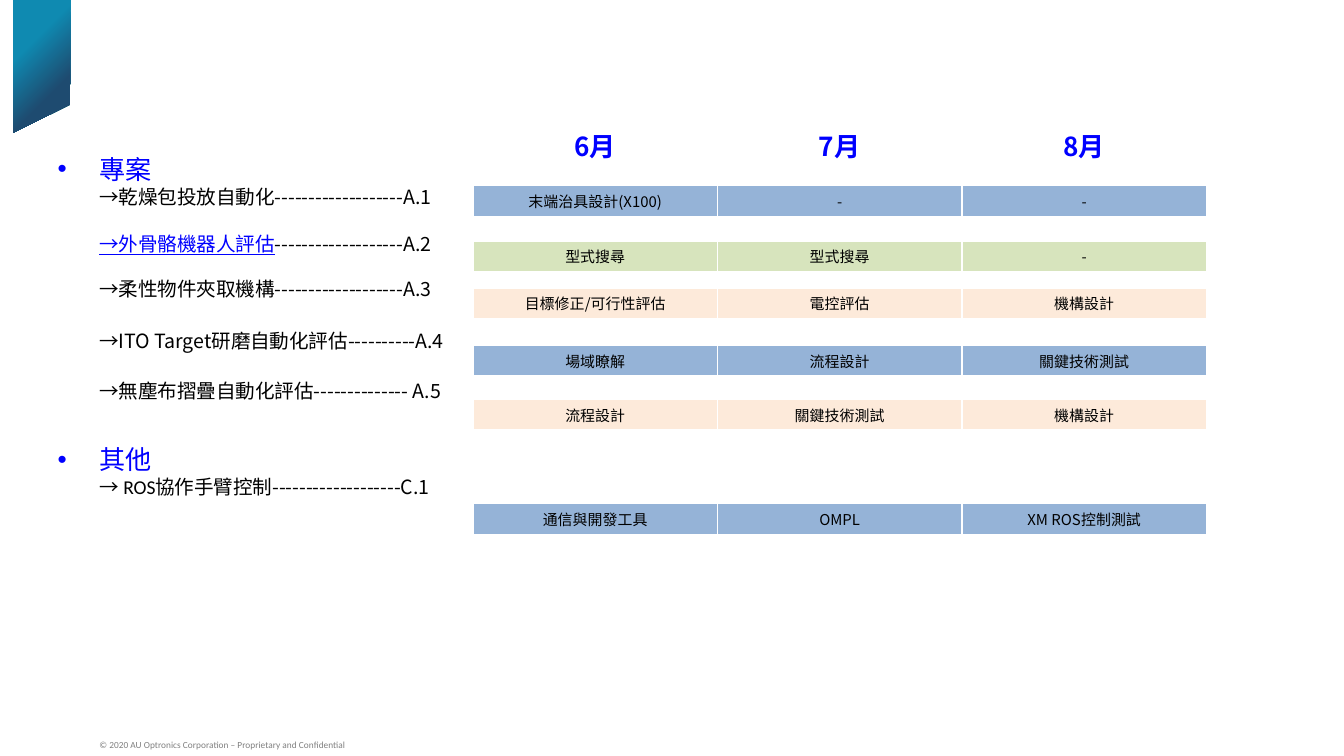
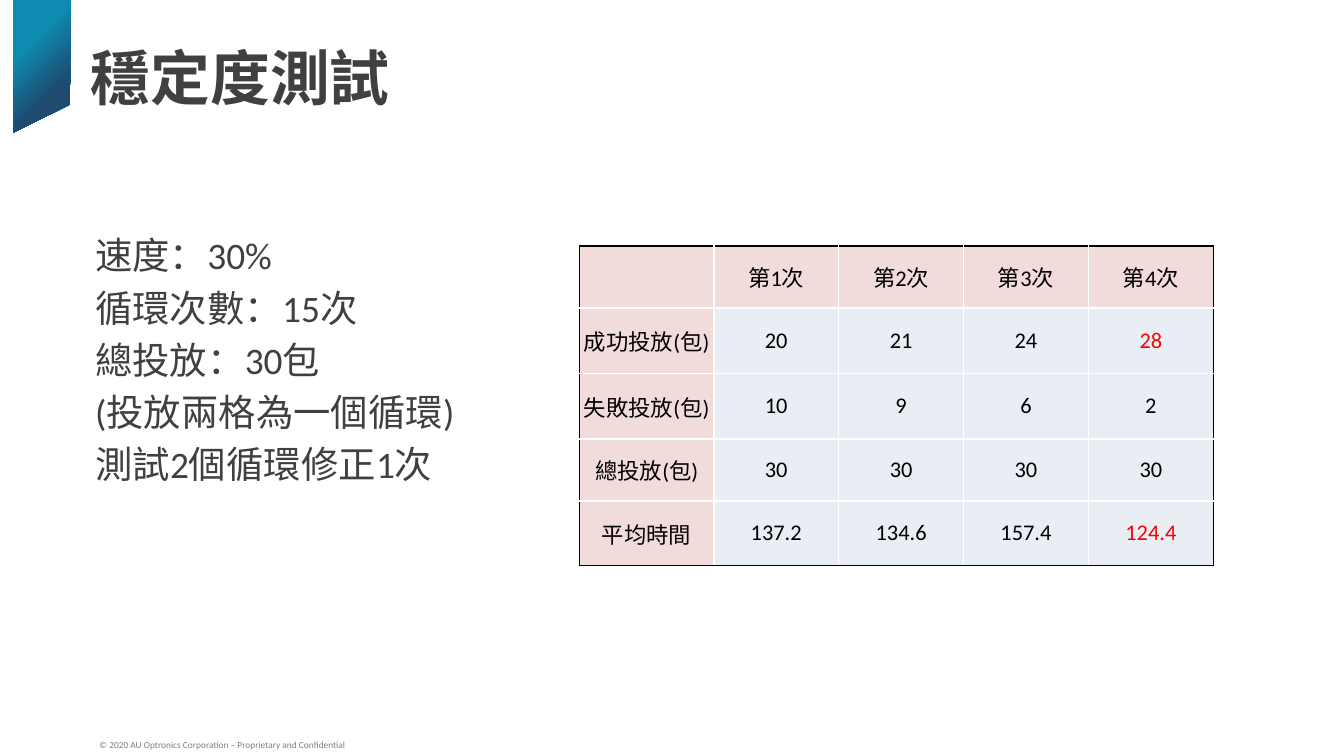
from lxml import etree
from pptx import Presentation
from pptx.dml.color import RGBColor
from pptx.enum.text import MSO_ANCHOR, PP_ALIGN
from pptx.oxml.ns import qn
from pptx.util import Cm, Pt

TOP, MIDDLE, BOTTOM = MSO_ANCHOR.TOP, MSO_ANCHOR.MIDDLE, MSO_ANCHOR.BOTTOM
CENTER = PP_ALIGN.CENTER
LATIN, CJK = "Calibri", "Noto Sans CJK SC"
COLORS = {
    "teal": "0F8AB1", "navy": "1E4B70", "white": "FFFFFF", "black": "000000",
    "gray": "808080", "dark": "404040", "link": "0000FF", "red": "FF0000",
    "blue": "95B3D7", "green": "D7E4BD", "peach": "FDEADA",
    "pink": "F2DCDB", "pale": "E9EDF4",
}


def write(paragraph, text, size=10.5, color="black", font=CJK, east=CJK,
          bold=False, underline=False):
    """Append a formatted run; east is the font of its Chinese characters."""
    run = paragraph.add_run()
    run.text = text
    run.font.size = Pt(size)
    run.font.color.rgb = RGBColor.from_string(COLORS[color])
    run.font.bold = bold
    run.font.underline = underline
    run.font.name = font
    latin = run.font._element.find(qn("a:latin"))
    latin.addnext(latin.makeelement(qn("a:ea"), {"typeface": east}))


def add_grid(slide, rows, left, top, widths, heights, head, body,
             frame="white", anchor=MIDDLE, side=0.25, margin=0.0, **style):
    """Draw a table whose first row and column use the head fill."""
    table = slide.shapes.add_table(
        len(rows), len(widths), Cm(left), Cm(top),
        Cm(sum(widths)), Cm(sum(heights))).table
    table.first_row = table.horz_banding = False
    for column, width in zip(table.columns, widths):
        column.width = Cm(width)
    for row, height in zip(table.rows, heights):
        row.height = Cm(height)
    for r, texts in enumerate(rows):
        for c, text in enumerate(texts):
            cell = table.cell(r, c)
            cell.vertical_anchor = anchor
            cell.margin_left = cell.margin_right = Cm(side)
            cell.margin_top = cell.margin_bottom = Cm(margin)
            cell.fill.solid()
            fill = head if r == 0 or c == 0 else body
            cell.fill.fore_color.rgb = RGBColor.from_string(COLORS[fill])
            paragraph = cell.text_frame.paragraphs[0]
            paragraph.alignment = CENTER
            write(paragraph, text, **style)
            outer = {"lnL": c == 0, "lnR": c == len(widths) - 1,
                     "lnT": r == 0, "lnB": r == len(rows) - 1}
            properties = cell._tc.get_or_add_tcPr()
            for position, (edge, is_outer) in enumerate(outer.items()):
                line = etree.Element(qn(f"a:{edge}"), w=str(Pt(1)))
                solid = etree.SubElement(line, qn("a:solidFill"))
                etree.SubElement(solid, qn("a:srgbClr"),
                                 val=COLORS[frame if is_outer else "white"])
                properties.insert(position, line)
    return table


deck = Presentation()
deck.slide_width, deck.slide_height = Cm(25.4), Cm(14.29)
schedule, stability = [deck.slides.add_slide(deck.slide_layouts[6])
                       for _ in range(2)]

# Ribbon and footer on every slide
for slide in (schedule, stability):
    outline = slide.shapes.build_freeform(Cm(0.25), Cm(0))
    outline.add_line_segments(
        [(Cm(x), Cm(y)) for x, y in [(1.34, 0), (1.32, 1.98), (0.25, 2.51)]])
    ribbon = outline.convert_to_shape()
    ribbon.shadow.inherit = False
    ribbon.line.fill.background()
    ribbon.fill.gradient()
    ribbon.fill.gradient_angle = 315
    for stop, color, position in zip(ribbon.fill.gradient_stops,
                                     ("teal", "navy"), (0.32, 0.7)):
        stop.color.rgb = RGBColor.from_string(COLORS[color])
        stop.position = position

    footer = slide.shapes.add_textbox(
        Cm(1.68), Cm(13.84), Cm(9.53), Cm(0.46)).text_frame
    footer.word_wrap = True
    footer.vertical_anchor = BOTTOM
    footer.margin_left = footer.margin_right = Cm(0.2)
    footer.paragraphs[0].line_spacing = 0.8
    write(footer.paragraphs[0],
          "© 2020 AU Optronics Corporation – Proprietary and Confidential",
          size=5, color="gray", font=LATIN)

# Slide 1: project list; each line has its space before and its runs
heading = {"size": 14, "color": "link"}
agenda_lines = [
    (0, [("專案", heading)]),
    (0, [("→乾燥包投放自動化-------------------A.1", {})]),
    (12.7, [("→外骨骼機器人評估", {"color": "link", "underline": True}),
            ("-------------------A.2", {})]),
    (11.6, [("→柔性物件夾取機構-------------------A.3", {})]),
    (15.3, [("→ITO Target研磨自動化評估----------A.4", {})]),
    (14.3, [("→無塵布摺疊自動化評估-------------- A.5", {})]),
    (21.9, [("其他", heading)]),
    (0, [("→ ", {}), ("ROS協作手臂控制", {"font": LATIN}),
         ("-------------------C.1", {})]),
]
agenda = schedule.shapes.add_textbox(
    Cm(0.84), Cm(2.77), Cm(8.48), Cm(8.94)).text_frame
agenda.word_wrap = True
for number, (gap, runs) in enumerate(agenda_lines):
    line = agenda.add_paragraph() if number else agenda.paragraphs[0]
    is_heading = runs[0][1] is heading
    properties = line._p.get_or_add_pPr()
    properties.set("marL", str(Cm(0.79)))
    properties.set("indent", str(Cm(-0.79 if is_heading else 0)))
    if is_heading:
        etree.SubElement(properties, qn("a:buFont"), typeface="Arial")
        etree.SubElement(properties, qn("a:buChar"), char="•")
    if gap:
        line.space_before = Pt(gap)
    for text, style in runs:
        write(line, text, **style)

# Slide 1: monthly plan beside the list
plan_left, month_widths = 8.94, [4.62] * 3
add_grid(schedule, [["6月", "7月", "8月"]], plan_left, 2.26, month_widths,
         [1.04], "white", "white", anchor=TOP, margin=0.13,
         size=14, color="link", bold=True)
plans = [
    (3.51, "blue", ["末端治具設計(X100)", "-", "-"]),
    (4.55, "green", ["型式搜尋", "型式搜尋", "-"]),
    (5.44, "peach", ["目標修正/可行性評估", "電控評估", "機構設計"]),
    (6.53, "blue", ["場域瞭解", "流程設計", "關鍵技術測試"]),
    (7.55, "peach", ["流程設計", "關鍵技術測試", "機構設計"]),
    (9.52, "blue", ["通信與開發工具", "OMPL", "XM ROS控制測試"]),
]
for top, color, steps in plans:
    add_grid(schedule, [steps], plan_left, top, month_widths, [0.58],
             color, color, size=8)

# Slide 2: title and test conditions
title = stability.shapes.add_textbox(
    Cm(1.47), Cm(0.64), Cm(20.47), Cm(3.25)).text_frame
title.word_wrap = True
write(title.paragraphs[0], "穩定度測試", size=32, color="dark",
      font=LATIN, east=LATIN, bold=True)

conditions = stability.shapes.add_textbox(
    Cm(1.55), Cm(4.27), Cm(23.27), Cm(9.25)).text_frame
conditions.word_wrap = True
for number, text in enumerate(["速度：30%", "循環次數：15次", "總投放：30包",
                               "(投放兩格為一個循環)", "測試2個循環修正1次"]):
    line = conditions.add_paragraph() if number else conditions.paragraphs[0]
    line.line_spacing = Pt(24)
    if number:
        line.space_before = Pt(4)
    write(line, text, size=20, color="dark", font=LATIN, east=LATIN)

# Slide 2: results of the four runs, the best values in red
results = add_grid(
    stability,
    [["", "第1次", "第2次", "第3次", "第4次"],
     ["成功投放(包)", "20", "21", "24", "28"],
     ["失敗投放(包)", "10", "9", "6", "2"],
     ["總投放(包)", "30", "30", "30", "30"],
     ["平均時間", "137.2", "134.6", "157.4", "124.4"]],
    10.95, 4.65, [2.54] + [2.36] * 4, [1.17, 1.24, 1.24, 1.17, 1.22],
    "pink", "pale", frame="black", side=0.03, margin=0.02,
    size=12, font=LATIN)
for row in (1, 4):
    best = results.cell(row, 4).text_frame.paragraphs[0].runs[0]
    best.font.color.rgb = RGBColor.from_string(COLORS["red"])

deck.save("out.pptx")
